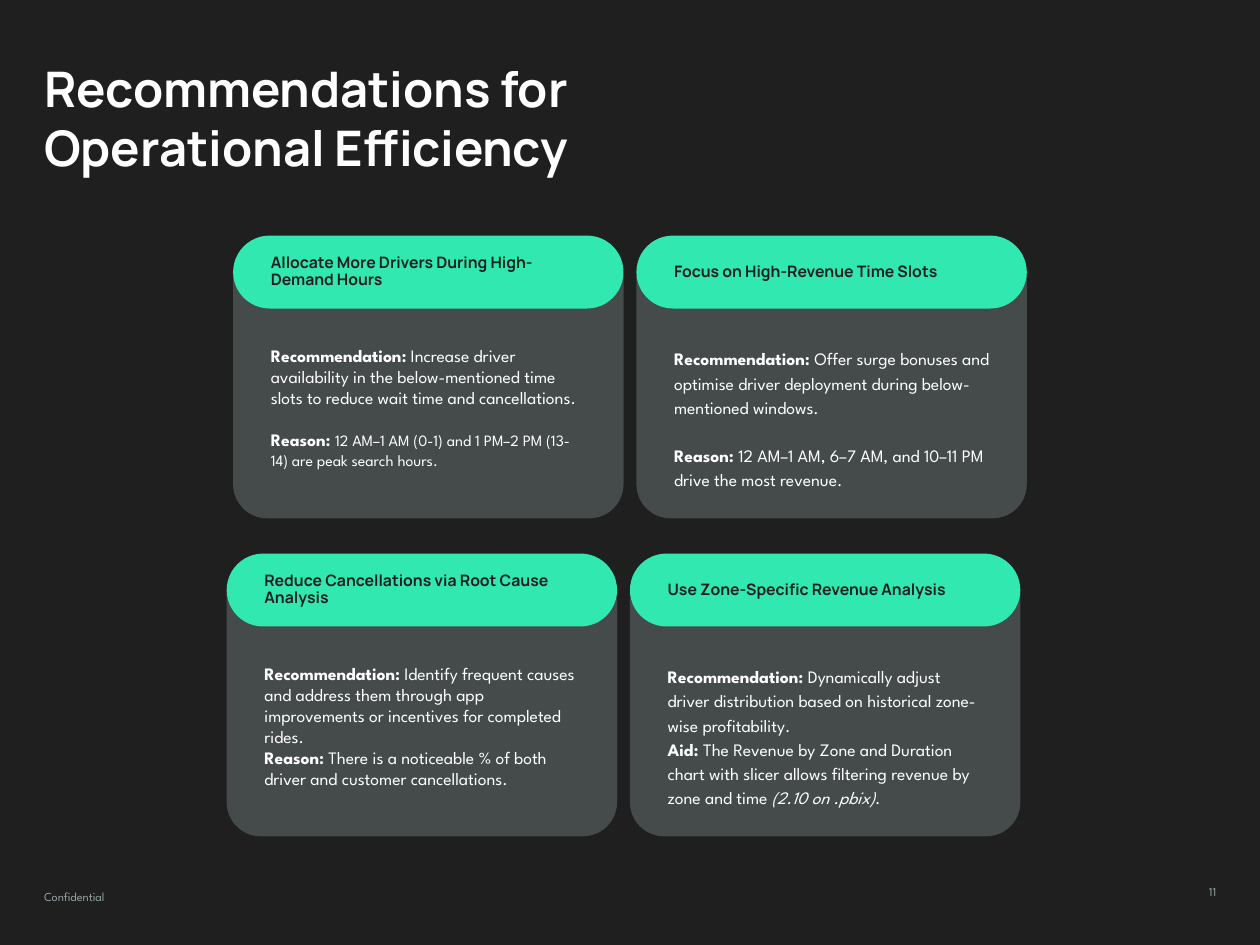
"""Build the slide of recommendations for operational efficiency."""
from dataclasses import dataclass
from typing import NamedTuple

import pptx
import pptx.dml.color
import pptx.enum.shapes
import pptx.enum.text
import pptx.slide
import pptx.util

Cm = pptx.util.Cm
RGBColor = pptx.dml.color.RGBColor
Shapes = pptx.enum.shapes.MSO_SHAPE
Anchor = pptx.enum.text.MSO_ANCHOR
Align = pptx.enum.text.PP_ALIGN

CHARCOAL = RGBColor(0x1F, 0x1F, 0x1F)
SLATE = RGBColor(0x45, 0x4B, 0x4B)
MINT = RGBColor(0x30, 0xE8, 0xB0)
WHITE = RGBColor(0xFF, 0xFF, 0xFF)
GREY = RGBColor(0x93, 0xA2, 0xA2)
HEADING_FONT, BODY_FONT = "Manrope", "League Spartan"

CARD_WIDTH, COLUMN_PITCH = 7.87, 8.13
HEADER_HEIGHT = 1.47
PANEL_OFFSET, PANEL_HEIGHT = 0.8, 4.9
ADVICE_OFFSET, ADVICE_HEIGHT = 1.96, 2.67
COLUMN_SPACINGS = (1.0, 1.15)


class Box(NamedTuple):
    """Position and size in centimetres."""
    left: float
    top: float
    width: float
    height: float

    def lengths(self) -> list[int]:
        """Return the four values as slide lengths."""
        return [Cm(value) for value in self]


class Run(NamedTuple):
    """A stretch of text in one format."""
    text: str
    size: float = 10
    bold: bool = False
    italic: bool = False
    color: RGBColor = WHITE
    name: str = BODY_FONT


class Para(NamedTuple):
    """Runs of one paragraph with the gap before it in points."""
    runs: list[Run]
    gap: float = 0


@dataclass
class Card:
    """A headed recommendation."""
    heading: str
    advice: list[Para]


class Row(NamedTuple):
    """Cards side by side from a common corner."""
    left: float
    top: float
    cards: list[Card]


def label(text: str) -> Run:
    """Return a bold lead-in."""
    return Run(text, bold=True)


ROWS = [
    Row(4.7, 4.75, [
        Card("Allocate More Drivers During High-Demand Hours", [
            Para([label("Recommendation:"),
                  Run(" Increase driver availability in the below-mentioned time "
                      "slots to reduce wait time and cancellations.")]),
            Para([label("Reason: "),
                  Run("12 AM–1 AM (0-1) and 1 PM–2 PM (13-14) are peak search hours.",
                      size=9)], gap=12),
        ]),
        Card("Focus on High-Revenue Time Slots", [
            Para([label("Recommendation: "),
                  Run("Offer surge bonuses and optimise driver deployment during "
                      "below-mentioned windows.")]),
            Para([label("Reason: "),
                  Run("12 AM–1 AM, 6–7 AM, and 10–11 PM drive the most revenue.")],
                 gap=14),
        ]),
    ]),
    Row(4.57, 11.16, [
        Card("Reduce Cancellations via Root Cause Analysis", [
            Para([label("Recommendation:"),
                  Run(" Identify frequent causes and address them through app "
                      "improvements or incentives for completed rides.")]),
            Para([label("Reason:"),
                  Run(" There is a noticeable % of both driver and customer "
                      "cancellations.")]),
        ]),
        Card("Use Zone-Specific Revenue Analysis", [
            Para([label("Recommendation: "),
                  Run("Dynamically adjust driver distribution based on historical "
                      "zone-wise profitability.")]),
            Para([label("Aid: "),
                  Run("The Revenue by Zone and Duration chart with slicer allows "
                      "filtering revenue by zone and time"),
                  Run(" (2.10 on .pbix)", italic=True), Run(".")]),
        ]),
    ]),
]


def add_text(slide: pptx.slide.Slide, box: Box, paras: list[Para],
             inset_x: float = 0.25, inset_y: float = 0.25, spacing: float = 1.0,
             anchor: Anchor = Anchor.TOP, align: Align = Align.LEFT) -> None:
    """Add a wrapped text box."""
    frame = slide.shapes.add_textbox(*box.lengths()).text_frame
    frame_format = {
        "word_wrap": True, "vertical_anchor": anchor,
        "margin_left": Cm(inset_x), "margin_right": Cm(inset_x),
        "margin_top": Cm(inset_y), "margin_bottom": Cm(inset_y),
    }
    for key, value in frame_format.items():
        setattr(frame, key, value)
    for index, para in enumerate(paras):
        paragraph = frame.add_paragraph() if index else frame.paragraphs[0]
        para_format = {"alignment": align, "line_spacing": spacing,
                       "space_before": pptx.util.Pt(para.gap)}
        for key, value in para_format.items():
            setattr(paragraph, key, value)
        for part in para.runs:
            run = paragraph.add_run()
            run.text = part.text
            run_format = {"name": part.name, "size": pptx.util.Pt(part.size),
                          "bold": part.bold, "italic": part.italic}
            for key, value in run_format.items():
                setattr(run.font, key, value)
            run.font.color.rgb = part.color


def add_block(slide: pptx.slide.Slide, box: Box, preset: Shapes,
              color: RGBColor, corners: tuple[float, ...]) -> None:
    """Add a plain filled shape with rounded corners."""
    block = slide.shapes.add_shape(preset, *box.lengths())
    block.shadow.inherit = False
    block.fill.solid()
    block.fill.fore_color.rgb = color
    block.line.fill.background()
    for index, corner in enumerate(corners):
        block.adjustments[index] = corner


def add_card(slide: pptx.slide.Slide, card: Card, left: float, top: float,
             spacing: float) -> None:
    """Add a panel with its pill header and advice."""
    header = Box(left, top, CARD_WIDTH, HEADER_HEIGHT)
    panel = Box(left, top + PANEL_OFFSET, CARD_WIDTH, PANEL_HEIGHT)
    advice = Box(left, top + ADVICE_OFFSET, CARD_WIDTH, ADVICE_HEIGHT)
    add_block(slide, panel, Shapes.ROUND_2_SAME_RECTANGLE, SLATE, (0, 0.14))
    add_block(slide, header, Shapes.ROUNDED_RECTANGLE, MINT, (0.5,))
    heading = Run(card.heading, 9, True, color=CHARCOAL, name=HEADING_FONT)
    add_text(slide, header, [Para([heading])], inset_x=0.76, inset_y=0,
             spacing=0.9, anchor=Anchor.MIDDLE)
    add_text(slide, advice, card.advice, inset_x=0.76, spacing=spacing)


def main() -> None:
    """Build and save the slide."""
    deck = pptx.Presentation()
    deck.slide_width, deck.slide_height = Cm(25.4), Cm(19.05)
    slide = deck.slides.add_slide(deck.slide_layouts[6])
    slide.background.fill.solid()
    slide.background.fill.fore_color.rgb = CHARCOAL

    title = Run("Recommendations for Operational Efficiency", 28, True,
                name=HEADING_FONT)
    add_text(slide, Box(0.64, 0.94, 15.85, 2.9), [Para([title])])
    for row in ROWS:
        for column, (card, spacing) in enumerate(zip(row.cards, COLUMN_SPACINGS)):
            add_card(slide, card, row.left + column * COLUMN_PITCH, row.top, spacing)
    add_text(slide, Box(0.64, 17.78, 3.1, 1.14),
             [Para([Run("Confidential", 7, color=GREY)])])
    add_text(slide, Box(18.67, 17.68, 6.1, 0.81),
             [Para([Run("11", 7, color=GREY)])], align=Align.RIGHT)
    deck.save("out.pptx")


if __name__ == "__main__":
    main()
